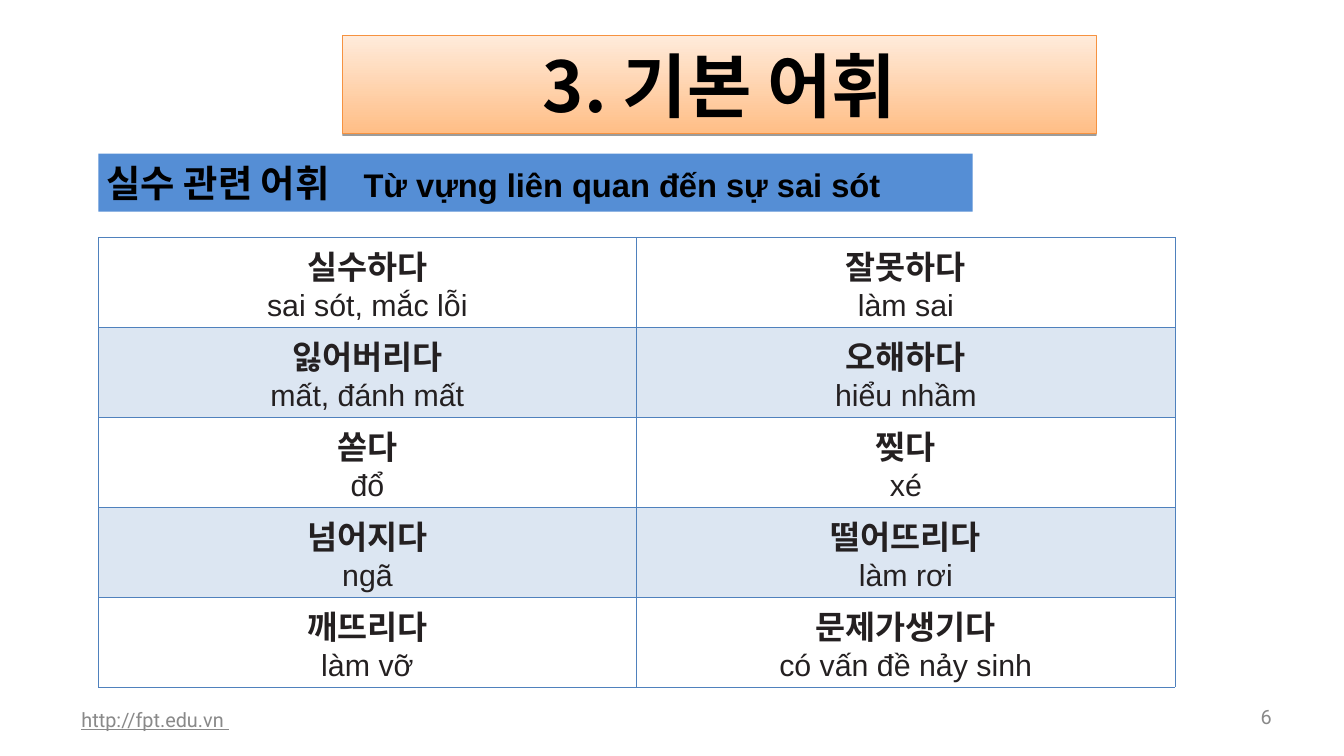
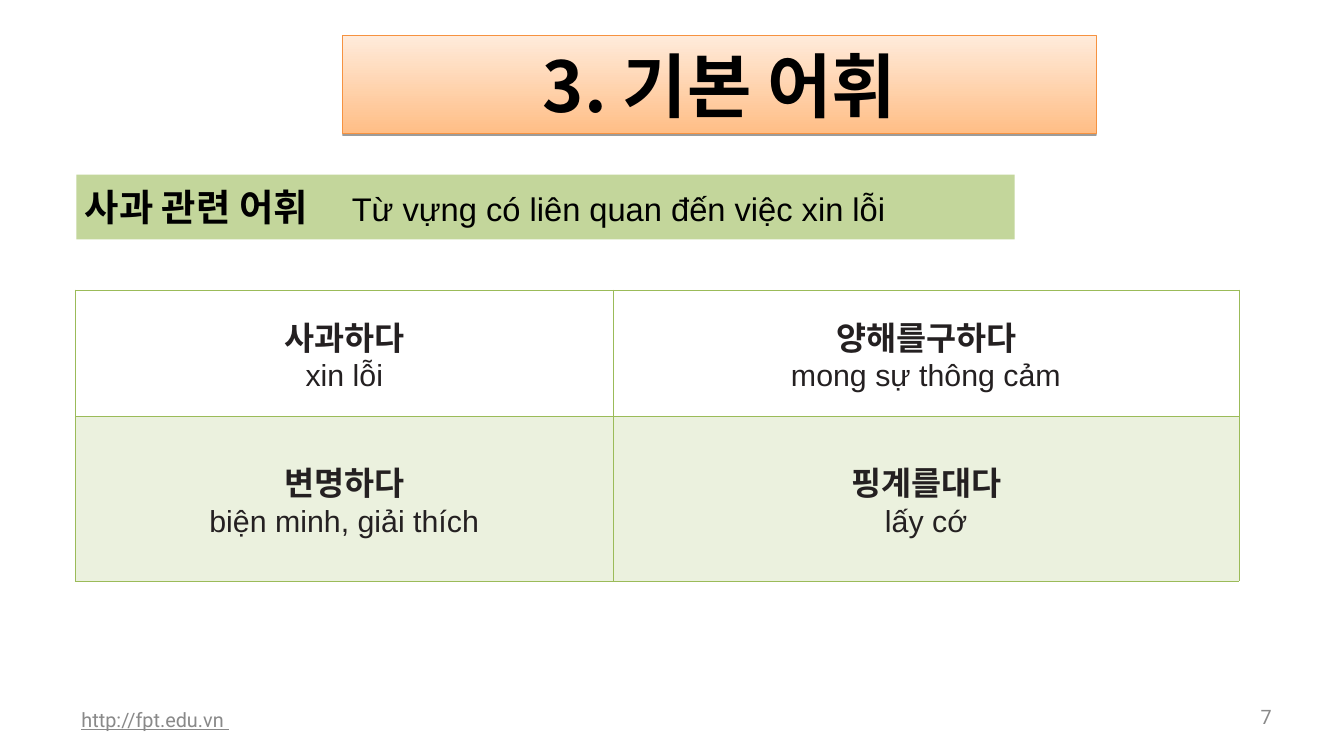
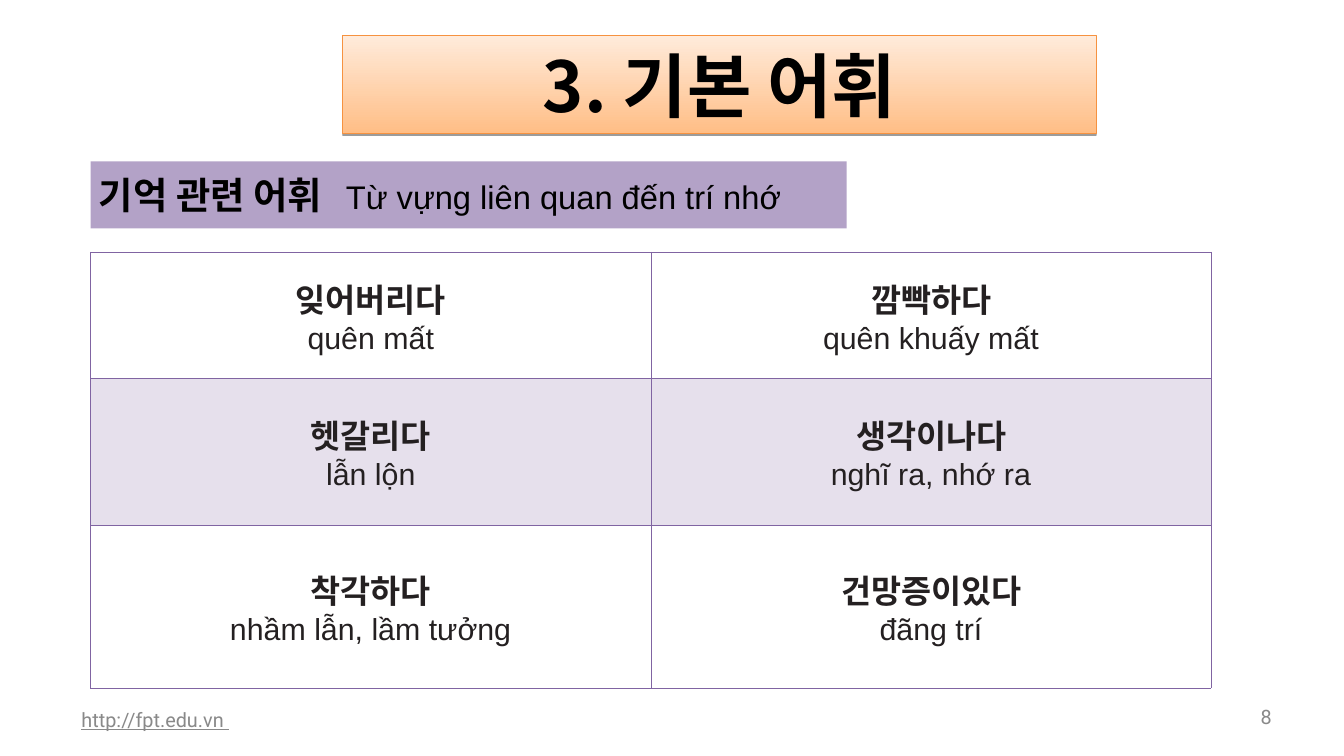
from lxml import etree
from pptx import Presentation
from pptx import util as u
from pptx.dml.color import RGBColor
from pptx.enum import shapes, text
from pptx.oxml.ns import qn

HUES = {
    "ink": "000000", "word": "242021", "foot": "898989",
    "low": "FFBE86", "high": "FFEBDB", "edge": "F69240", "white": "FFFFFF",
}
KO, VI, WEB = "Noto Sans CJK KR", "Arial", "Roboto"
MID = text.MSO_ANCHOR.MIDDLE
LEFT, CENTER, RIGHT = text.PP_ALIGN.LEFT, text.PP_ALIGN.CENTER, text.PP_ALIGN.RIGHT


def style(item, **form):
    for key, val in form.items():
        setattr(item, key, u.Inches(val) if isinstance(val, float) else val)


def write(para, words, face, size, hue, **form):
    run = para.add_run()
    run.text = words
    style(run.font, name=face, size=u.Pt(size), **form)
    run.font.color.rgb = RGBColor.from_string(HUES[hue])
    etree.SubElement(run._r.get_or_add_rPr(), qn("a:ea"), typeface=face)


DECK = [
    {
        "band": (1.17, 1.83, 10.41, 0.69), "fill": "558ED5", "tab": 3.06, "bold": True,
        "head": ("실수 관련 어휘", "Từ vựng liên quan đến sự sai sót"),
        "at": (1.17, 2.83), "cols": [6.41, 6.41], "rows": [1.07] * 5,
        "line": "4F81BD", "tint": "DCE6F2",
        "cells": [
            ("실수하다", "sai sót, mắc lỗi"), ("잘못하다", "làm sai"),
            ("잃어버리다", "mất, đánh mất"), ("오해하다", "hiểu nhầm"),
            ("쏟다", "đổ"), ("찢다", "xé"),
            ("넘어지다", "ngã"), ("떨어뜨리다", "làm rơi"),
            ("깨뜨리다", "làm vỡ"), ("문제가생기다", "có vấn đề nảy sinh"),
        ],
    },
    {
        "band": (0.91, 2.08, 11.17, 0.77), "fill": "C3D69B", "tab": 3.18, "bold": False,
        "head": ("사과 관련 어휘", "Từ vựng có liên quan đến việc xin lỗi"),
        "at": (0.9, 3.45), "cols": [6.4, 7.45], "rows": [1.5, 1.97],
        "line": "9BBB59", "tint": "EBF1DE",
        "cells": [
            ("사과하다", "xin lỗi"), ("양해를구하다", "mong sự thông cảm"),
            ("변명하다", "biện minh, giải thích"), ("핑계를대다", "lấy cớ"),
        ],
    },
    {
        "band": (1.08, 1.92, 9, 0.8), "fill": "B3A2C7", "tab": 2.94, "bold": False,
        "head": ("기억 관련 어휘", "Từ vựng liên quan đến trí nhớ"),
        "at": (1.08, 3), "cols": [6.67, 6.67], "rows": [1.5, 1.75, 1.94],
        "line": "8064A2", "tint": "E6E0EC",
        "cells": [
            ("잊어버리다", "quên mất"), ("깜빡하다", "quên khuấy mất"),
            ("헷갈리다", "lẫn lộn"), ("생각이나다", "nghĩ ra, nhớ ra"),
            ("착각하다", "nhầm lẫn, lầm tưởng"), ("건망증이있다", "đãng trí"),
        ],
    },
]

prs = Presentation()
style(prs, slide_width=16.0, slide_height=9.0)

for num, page in enumerate(DECK, 6):
    slide = prs.slides.add_slide(prs.slide_layouts[5])

    title = slide.shapes.title
    style(title, left=4.08, top=0.42, width=8.97, height=1.17)
    title.fill.gradient()
    title.fill.gradient_angle = 90
    for stop, hue in zip(title.fill.gradient_stops, ("low", "high")):
        stop.color.rgb = RGBColor.from_string(HUES[hue])
    title.line.color.rgb = RGBColor.from_string(HUES["edge"])
    title.line.width = u.Pt(0.75)
    title.shadow.inherit = False
    glow = etree.SubElement(
        title._element.spPr.find(qn("a:effectLst")), qn("a:outerShdw"),
        blurRad="0", dist=str(u.Pt(1.6)), dir="5400000", rotWithShape="0")
    shade = etree.SubElement(glow, qn("a:srgbClr"), val=HUES["ink"])
    etree.SubElement(shade, qn("a:alpha"), val="38000")
    style(title.text_frame, vertical_anchor=MID, auto_size=text.MSO_AUTO_SIZE.NONE)
    para = title.text_frame.paragraphs[0]
    para.alignment = CENTER
    write(para, "3. 기본 어휘", KO, 60, "ink", bold=True)

    for box, words, align, line in (
        ((0.83, 8.33, 5.07, 0.48), "http://fpt.edu.vn ", LEFT, True),
        ((14.5, 8.33, 0.78, 0.41), str(num), RIGHT, False),
    ):
        frame = slide.shapes.add_textbox(*map(u.Inches, box)).text_frame
        style(frame, word_wrap=True, vertical_anchor=MID, margin_left=0.14,
              margin_right=0.14, margin_top=0.07, margin_bottom=0.07)
        para = frame.paragraphs[0]
        para.alignment = align
        write(para, words, WEB, 17, "foot", underline=line)

    band = slide.shapes.add_shape(
        shapes.MSO_SHAPE.RECTANGLE, *map(u.Inches, page["band"]))
    band.shadow.inherit = False
    band.fill.solid()
    band.fill.fore_color.rgb = RGBColor.from_string(page["fill"])
    band.line.fill.background()
    style(band.text_frame, word_wrap=True, vertical_anchor=MID, margin_left=0.1,
          margin_right=0.1, margin_top=0.1, margin_bottom=0.1)
    para = band.text_frame.paragraphs[0]
    para.alignment = LEFT
    tabs = etree.SubElement(para._p.get_or_add_pPr(), qn("a:tabLst"))
    etree.SubElement(tabs, qn("a:tab"), pos=str(u.Inches(page["tab"])), algn="l")
    term, gloss = page["head"]
    write(para, term + "\t", KO, 32, "ink", bold=True)
    write(para, gloss, VI, 28, "ink", bold=page["bold"])

    cols, rows = page["cols"], page["rows"]
    size = (*page["at"], sum(cols), sum(rows))
    table = slide.shapes.add_table(len(rows), len(cols), *map(u.Inches, size)).table
    style(table, first_row=False, horz_banding=False)
    for col, width in zip(table.columns, cols):
        col.width = u.Inches(width)
    for row, height in zip(table.rows, rows):
        row.height = u.Inches(height)
    for spot, (cell, (term, gloss)) in enumerate(zip(table.iter_cells(), page["cells"])):
        props = cell._tc.get_or_add_tcPr()
        for side in ("lnL", "lnR", "lnT", "lnB"):
            edge = etree.SubElement(props, qn("a:" + side), w=str(u.Pt(0.45)))
            fill = etree.SubElement(edge, qn("a:solidFill"))
            etree.SubElement(fill, qn("a:srgbClr"), val=page["line"])
        cell.fill.solid()
        tint = page["tint"] if spot // len(cols) % 2 else HUES["white"]
        cell.fill.fore_color.rgb = RGBColor.from_string(tint)
        style(cell, vertical_anchor=MID, margin_left=0.1, margin_right=0.1,
              margin_top=0.05, margin_bottom=0.05)
        para = cell.text_frame.paragraphs[0]
        para.alignment = CENTER
        write(para, term, KO, 28, "word", bold=True)
        para.add_line_break()
        write(para, gloss, VI, 26, "word", bold=False)

prs.save("out.pptx")
